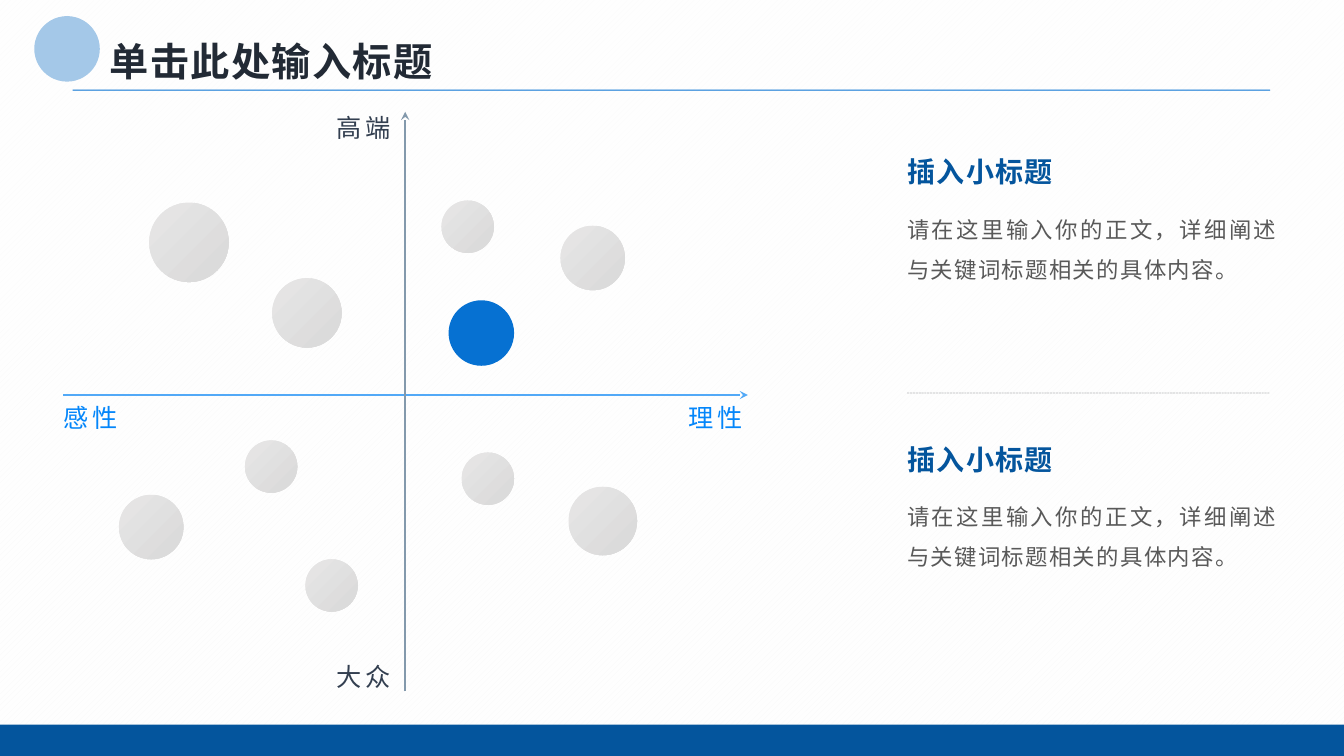
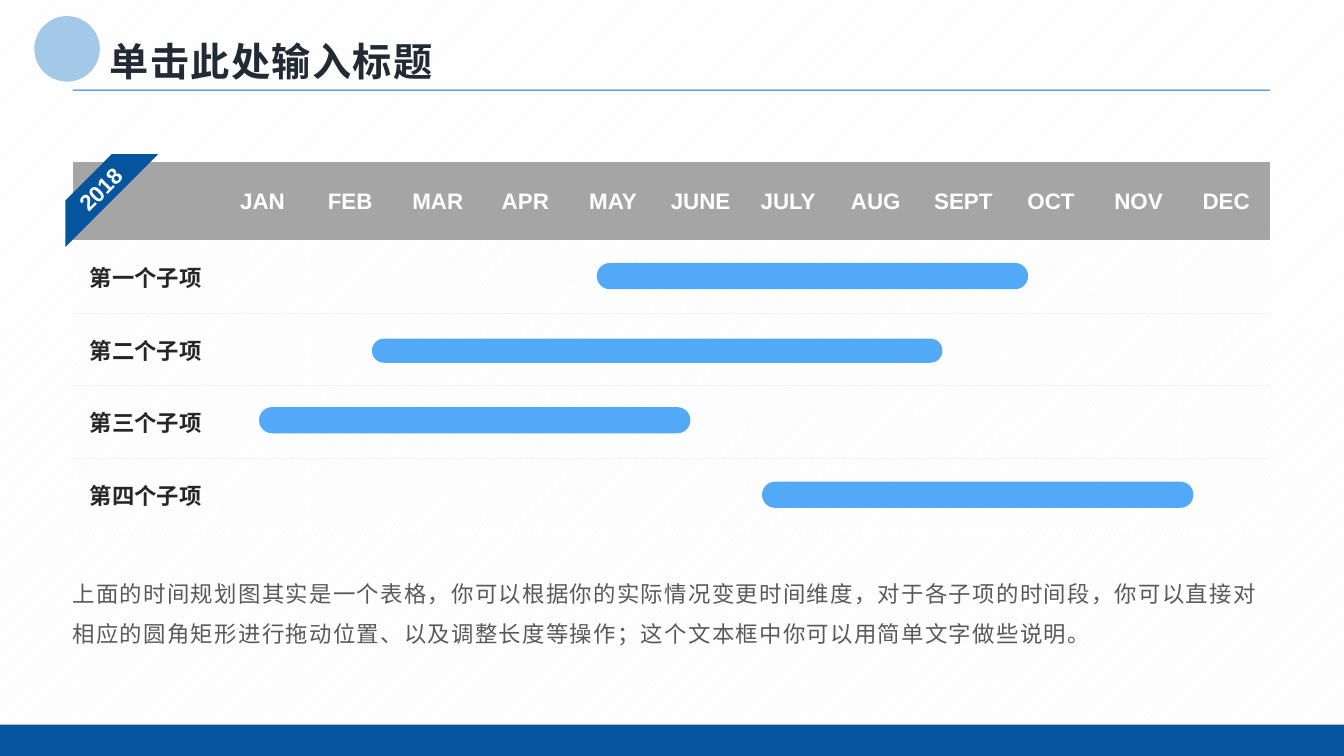
from lxml import etree
from pptx import Presentation
from pptx import util as u
from pptx.dml.color import RGBColor
from pptx.enum import dml, shapes, text
from pptx.oxml.ns import qn

NAVY = RGBColor(0x04, 0x55, 0x9D)
BLUE = RGBColor(0x06, 0x71, 0xD2)
AZURE = RGBColor(0x04, 0x86, 0xFA)
SKY = RGBColor(0x52, 0xA9, 0xF7)
PALE_BLUE = RGBColor(0xA4, 0xC8, 0xE8)
STEEL = RGBColor(0x83, 0x99, 0xAC)
SLATE = RGBColor(0x33, 0x3F, 0x50)
INK = RGBColor(0x22, 0x2A, 0x35)
BLACK = RGBColor(0x26, 0x26, 0x26)
BODY_GREY = RGBColor(0x59, 0x59, 0x59)
DIVIDER_GREY = RGBColor(0x6E, 0x70, 0x73)
HEADER_GREY = RGBColor(0xA5, 0xA5, 0xA5)
BUBBLE_LIGHT = RGBColor(0xE7, 0xE6, 0xE6)
BUBBLE_DARK = RGBColor(0xD9, 0xD9, 0xD9)
HATCH = RGBColor(0xF2, 0xF2, 0xF2)
WHITE = RGBColor(0xFF, 0xFF, 0xFF)
LATIN, CJK = "Arial", "Noto Sans CJK SC"
NO_GRID_STYLE = "{2D5ABB26-0587-4C30-8999-92F81FD0307C}"

KIND = shapes.MSO_SHAPE
ALIGN = text.PP_ALIGN
ANCHOR = text.MSO_ANCHOR

prs = Presentation()
prs.slide_width, prs.slide_height = u.Inches(13.33), u.Inches(7.5)
COLS, ROWS = 40, 22.5
CELL = prs.slide_width / COLS
LEFT, RIGHT = 2.16, 37.8
SPAN = RIGHT - LEFT


def draw(slide, kind, left, top, width, height, *colors, angle=0):
    box = [round(n * CELL) for n in (left, top, width, height)]
    if kind is None:
        return slide.shapes.add_textbox(*box)
    shape = slide.shapes.add_shape(kind, *box)
    shape.shadow.inherit = False
    shape.line.fill.background()
    if len(colors) == 1:
        shape.fill.solid()
        shape.fill.fore_color.rgb = colors[0]
    else:
        shape.fill.gradient()
        shape.fill.gradient_angle = 360 - angle
        for stop, color in zip(shape.fill.gradient_stops, colors):
            stop.color.rgb = color
    return shape


def write(frame, words, size, color, bold=False, spacing=0, align=ALIGN.LEFT,
          leading=None, font=LATIN, insets=(0, 0, 0, 0), wrap=True):
    frame.word_wrap = wrap
    frame.margin_left, frame.margin_top, frame.margin_right, frame.margin_bottom = map(u.Inches, insets)
    frame.text = words
    paragraph = frame.paragraphs[0]
    paragraph.alignment = align
    paragraph.line_spacing = leading
    run = paragraph.runs[0]
    run.font.size, run.font.bold, run.font.name = u.Pt(size), bold, font
    run.font.color.rgb = color
    properties = run._r.get_or_add_rPr()
    properties.set("spc", str(spacing * 100))
    etree.SubElement(properties, qn("a:ea")).set("typeface", CJK)


backdrop = prs.slide_master.background.fill
backdrop.patterned()
backdrop.pattern = dml.MSO_PATTERN.WIDE_UPWARD_DIAGONAL
backdrop.fore_color.rgb, backdrop.back_color.rgb = HATCH, WHITE

positioning, schedule = [prs.slides.add_slide(prs.slide_layouts[6]) for _ in range(2)]
for slide in (positioning, schedule):
    veil = draw(slide, KIND.RECTANGLE, 0, 0, COLS, ROWS, WHITE, WHITE, angle=90)
    for color, opacity in zip(veil._element.spPr.iter(qn("a:srgbClr")), (80, 50)):
        etree.SubElement(color, qn("a:alpha")).set("val", str(opacity * 1000))
    draw(slide, KIND.OVAL, 1.02, 0.48, 1.95, 1.95, PALE_BLUE)
    title = draw(slide, None, 2.97, 0.81, 23.88, 1.71).text_frame
    write(title, "单击此处输入标题", 28, INK, True, 1, leading=0.9, font=CJK,
          insets=(0.1, 0.05, 0.1, 0))
    title.vertical_anchor = ANCHOR.BOTTOM
    draw(slide, KIND.RECTANGLE, LEFT, 2.67, SPAN, 0.03, BLUE)
    draw(slide, KIND.RECTANGLE, 0, 21.57, COLS, ROWS - 21.57, NAVY)

PANEL_LEFT = 27
for start, end, color, weight, is_axis in (
    ((1.89, 11.76), (22.26, 11.76), SKY, 1.5, True),
    ((12.06, 20.58), (12.06, 3.33), STEEL, 1.5, True),
    ((PANEL_LEFT, 11.7), (RIGHT, 11.7), DIVIDER_GREY, 0.5, False),
):
    ends = [round(n * CELL) for n in start + end]
    line = positioning.shapes.add_connector(shapes.MSO_CONNECTOR.STRAIGHT, *ends)
    line.line.color.rgb = color
    line.line.width = u.Pt(weight)
    stroke = line._element.spPr.find(qn("a:ln"))
    if is_axis:
        etree.SubElement(stroke, qn("a:tailEnd")).set("type", "stealth")
    else:
        line.line.dash_style = dml.MSO_LINE.SQUARE_DOT
        tint = next(stroke.iter(qn("a:srgbClr")))
        etree.SubElement(tint, qn("a:alpha")).set("val", "50000")
    etree.SubElement(line._element.spPr, qn("a:effectLst"))

for words, left, top, color, align in (
    ("感性", 1.89, 11.97, AZURE, ALIGN.LEFT),
    ("理性", 20.49, 11.97, AZURE, ALIGN.LEFT),
    ("高端", 9.87, 3.33, SLATE, ALIGN.RIGHT),
    ("大众", 9.87, 19.68, SLATE, ALIGN.RIGHT),
):
    axis_end = draw(positioning, None, left, top, 1.77, 0.9).text_frame
    write(axis_end, words, 18, color, spacing=3, align=align, wrap=False)
    axis_end.auto_size = text.MSO_AUTO_SIZE.SHAPE_TO_FIT_TEXT

draw(positioning, KIND.OVAL, 13.35, 8.94, 1.95, 1.95, BLUE)
for left, top, size in (
    (13.14, 5.97, 1.56), (16.68, 6.72, 1.92), (13.74, 13.47, 1.56),
    (16.92, 14.49, 2.04), (9.09, 16.65, 1.56), (7.29, 13.11, 1.56),
    (3.54, 14.73, 1.92), (4.44, 6.03, 2.37), (8.1, 8.28, 2.07),
):
    draw(positioning, KIND.OVAL, left, top, size, size, BUBBLE_LIGHT, BUBBLE_DARK, angle=45)

for top in (4.11, 12.66):
    heading = draw(positioning, None, PANEL_LEFT, top, 10.8, 1.83).text_frame
    write(heading, "插入小标题", 20, NAVY, True, 1, leading=1.5)
    detail = draw(positioning, None, PANEL_LEFT, top + 1.92, 11.04, 5.07).text_frame
    write(detail, "请在这里输入你的正文，详细阐述与关键词标题相关的具体内容。", 16, BODY_GREY,
          spacing=1, align=ALIGN.JUSTIFY, leading=1.5)

MONTHS = "JAN FEB MAR APR MAY JUNE JULY AUG SEPT OCT NOV DEC".split()
ITEMS = ["第一个子项", "第二个子项", "第三个子项", "第四个子项"]
ITEM_WIDTH, HEADER_HEIGHT, ITEM_HEIGHT = 4.35, 2.33, 2.16
plan_box = (LEFT, 4.83, SPAN, HEADER_HEIGHT + ITEM_HEIGHT * len(ITEMS))
plan = schedule.shapes.add_table(len(ITEMS) + 1, len(MONTHS) + 1,
                                 *[round(n * CELL) for n in plan_box]).table
plan._tbl.tblPr.find(qn("a:tableStyleId")).text = NO_GRID_STYLE
plan.horz_banding = False
for c, column in enumerate(plan.columns):
    column.width = round(CELL * ((SPAN - ITEM_WIDTH) / len(MONTHS) if c else ITEM_WIDTH))
for r, row in enumerate(plan.rows):
    row.height = round(CELL * (ITEM_HEIGHT if r else HEADER_HEIGHT))
    for c, cell in enumerate(row.cells):
        cell.vertical_anchor = ANCHOR.MIDDLE
        if r == 0:
            cell.fill.solid()
            cell.fill.fore_color.rgb = HEADER_GREY
        else:
            cell.fill.patterned()
            cell.fill.pattern = dml.MSO_PATTERN.WIDE_UPWARD_DIAGONAL
            cell.fill.fore_color.rgb, cell.fill.back_color.rgb = HATCH, WHITE
        if 0 < r < len(ITEMS):
            edge = etree.Element(qn("a:lnB"), w=str(u.Pt(0.5)))
            solid = etree.SubElement(edge, qn("a:solidFill"))
            etree.SubElement(solid, qn("a:srgbClr")).set("val", str(HATCH))
            cell._tc.get_or_add_tcPr().insert(0, edge)

for c, month in enumerate(MONTHS, 1):
    cell = plan.cell(0, c)
    write(cell.text_frame, month, 16, WHITE, True, align=ALIGN.CENTER)
    cell.margin_left = cell.margin_top = cell.margin_right = u.Inches(0.01)
    cell.margin_bottom = 0
for r, item in enumerate(ITEMS, 1):
    cell = plan.cell(r, 0)
    write(cell.text_frame, item, 16, BLACK, True, align=ALIGN.CENTER)
    cell.margin_left = cell.margin_right = u.Inches(0.1)

for left, top, width, height in (
    (17.76, 7.83, 12.84, 0.78), (11.07, 10.08, 16.98, 0.72),
    (7.71, 12.12, 12.84, 0.78), (22.68, 14.34, 12.84, 0.78),
):
    period = draw(schedule, KIND.ROUNDED_RECTANGLE, left, top, width, height, SKY)
    period.adjustments[0] = 0.5

year = draw(schedule, KIND.DIAGONAL_STRIPE, 1.95, 4.59, 2.76, 2.76, NAVY).text_frame
write(year, "2018", 16, WHITE, True, align=ALIGN.CENTER, insets=(0, 0.05, 0, 0.05))
year.vertical_anchor = ANCHOR.MIDDLE
year._txBody.bodyPr.set("rot", str(-45 * 60000))

note = draw(schedule, None, LEFT, 16.86, SPAN, 3.27).text_frame
write(note, "上面的时间规划图其实是一个表格，你可以根据你的实际情况变更时间维度，"
      "对于各子项的时间段，你可以直接对相应的圆角矩形进行拖动位置、以及调整长度等操作；"
      "这个文本框中你可以用简单文字做些说明。", 16, BODY_GREY, spacing=1, leading=1.5)

prs.save("out.pptx")
